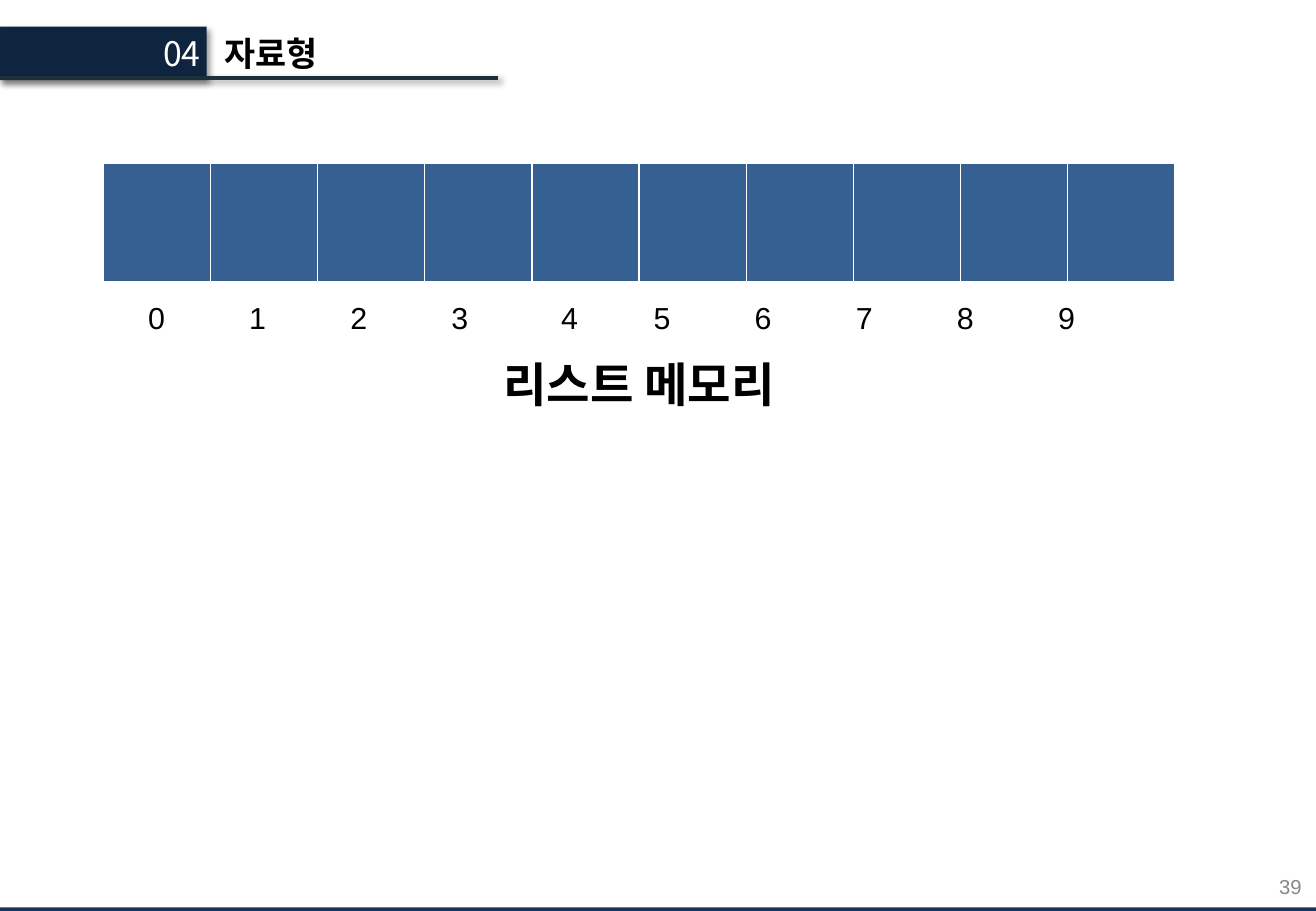
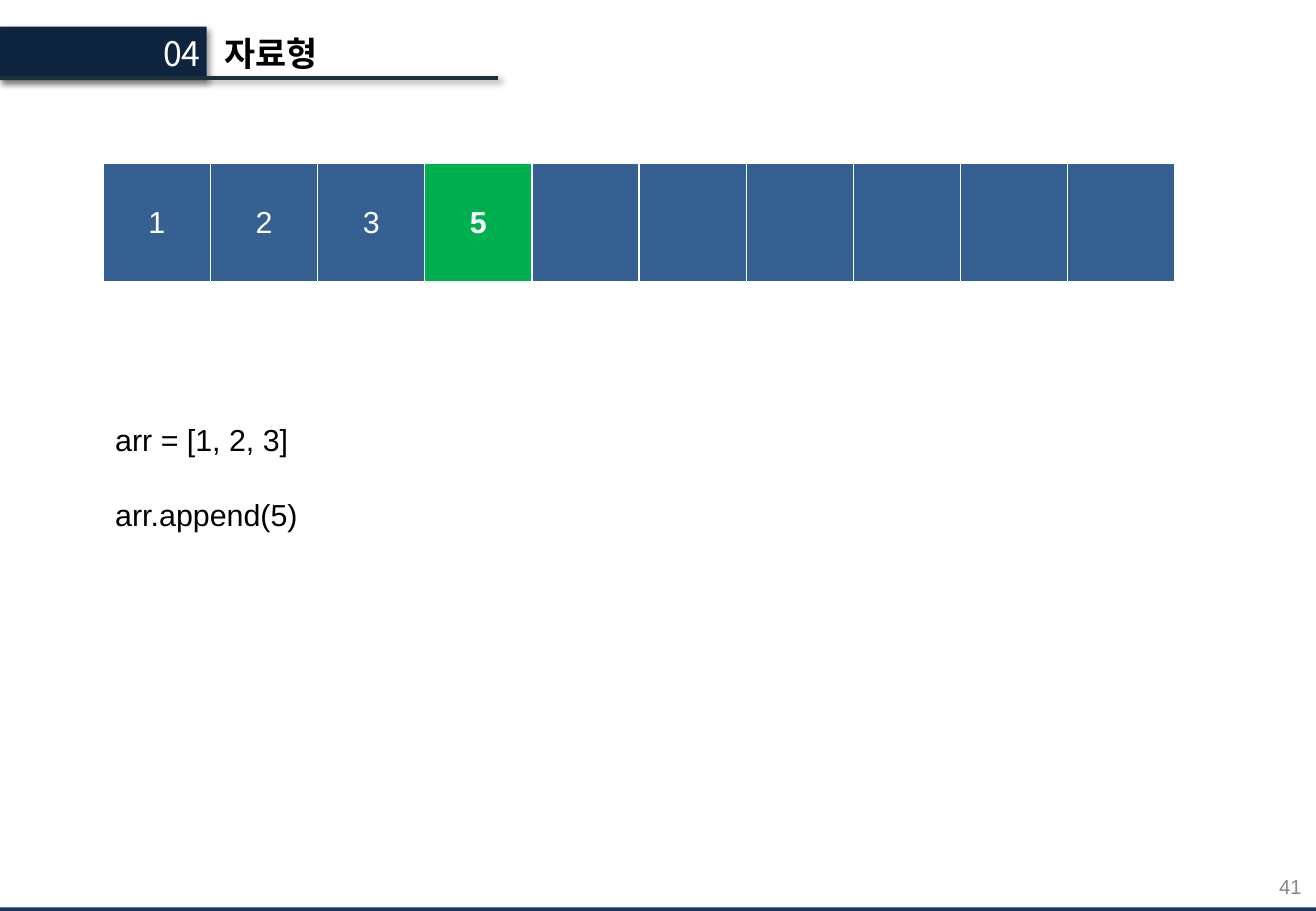
import pptx
import pptx.util
import pptx.dml.color
import pptx.enum.shapes
import pptx.enum.text
import pptx.oxml
import pptx.oxml.ns
import lxml.etree

Inches, Pt = pptx.util.Inches, pptx.util.Pt
ALIGN = pptx.enum.text.PP_ALIGN
MIDDLE = pptx.enum.text.MSO_ANCHOR.MIDDLE
SHAPE = pptx.enum.shapes.MSO_SHAPE
A = pptx.oxml.ns.nsdecls("a")
KOREAN = "Noto Sans CJK KR"
NAVY, FOOTER, RULE, CELL, NEW = "0F243E", "17365D", "1D2F39", "366092", "00B050"
WHITE, BLACK, GREY = "FFFFFF", "000000", "888888"
rgb = pptx.dml.color.RGBColor.from_string

SHADOW = (f'<a:effectLst {A}><a:outerShdw blurRad="50800" dist="38100" dir="2700000" '
          'algn="tl" rotWithShape="0"><a:srgbClr val="000000"><a:alpha val="40000"/>'
          '</a:srgbClr></a:outerShdw></a:effectLst>')

LEFT, WIDTH, COLS = 0.85, 8.82, 10
BODY = {"size": Pt(18), "name": "Arial", "bold": False}
TITLE = {"size": Pt(20), "name": KOREAN, "bold": True}
NUMBER = {**TITLE, "bold": False}
CAPTION = {**BODY, "size": Pt(28), "bold": True}
PAGE = {**BODY, "size": Pt(12)}


def write(p, text, fmt, color, align=ALIGN.LEFT):
    p.alignment = align
    r = p.add_run()
    r.text = text
    for key, value in fmt.items():
        setattr(r.font, key, value)
    r.font.color.rgb = rgb(color)
    ea = lxml.etree.SubElement(r.font._element, pptx.oxml.ns.qn("a:ea"))
    ea.set("typeface", KOREAN)


def add_text(shapes, box, lines, fmt, color, align=ALIGN.LEFT, gap=0):
    tf = shapes.add_textbox(*map(Inches, box)).text_frame
    tf.word_wrap = True
    for i, line in enumerate(lines):
        p = tf.add_paragraph() if i else tf.paragraphs[0]
        if i:
            p.space_before = Pt(gap)
        write(p, line, fmt, color, align)
    return tf


prs = pptx.Presentation()
prs.slide_width, prs.slide_height = Inches(10.83), Inches(7.5)

slides = []
for page, values in (("39", []), ("41", ["1", "2", "3", "5"])):
    s = prs.slides.add_slide(prs.slide_layouts[6])
    slides.append(s)

    # Footer band and page number
    band = s.shapes.add_shape(SHAPE.RECTANGLE, *map(Inches, (-0.1, 7.47, 11.03, 0.09)))
    tf = add_text(s.shapes, (8.28, 7.1, 2.53, 0.4), [page], PAGE, GREY, ALIGN.RIGHT)
    tf.vertical_anchor = MIDDLE

    # Section tab with its number
    group = s.shapes.add_group_shape()
    tab = group.shapes.add_shape(SHAPE.RECTANGLE, *map(Inches, (-0.01, 0.22, 1.71, 0.44)))
    for sp, color in ((band, FOOTER), (tab, NAVY)):
        sp.shadow.inherit = False
        sp.fill.solid()
        sp.fill.fore_color.rgb = rgb(color)
        sp.line.fill.background()
    add_text(group.shapes, (1.04, 0.22, 0.71, 0.44), ["04"], NUMBER, WHITE, ALIGN.RIGHT)

    # Title rule and title
    rule = s.shapes.add_connector(pptx.enum.shapes.MSO_CONNECTOR.STRAIGHT,
                                  *map(Inches, (-0.01, 0.64, 4.1, 0.64)))
    rule.line.color.rgb = rgb(RULE)
    rule.line.width = Pt(2.25)
    for sp in (tab, rule):
        spPr = sp._element.spPr
        for old in spPr.findall(pptx.oxml.ns.qn("a:effectLst")):
            spPr.remove(old)
        spPr.append(pptx.oxml.parse_xml(SHADOW))
    add_text(s.shapes, (1.75, 0.22, 5.79, 0.44), ["자료형"], TITLE, BLACK)

    # Memory cells
    table = s.shapes.add_table(1, COLS, *map(Inches, (LEFT, 1.34, WIDTH, 0.99))).table
    table.first_row = table.horz_banding = False
    for i in range(COLS):
        table.columns[i].width = Inches(WIDTH / COLS)
        cell = table.cell(0, i)
        cell.vertical_anchor = MIDDLE
        cell.margin_left = cell.margin_right = Inches(0.1)
        for side, width in (("L", 1), ("R", 1), ("T", 1), ("B", 3)):
            cell._tc.get_or_add_tcPr().append(pptx.oxml.parse_xml(
                f'<a:ln{side} {A} w="{Pt(width)}"><a:solidFill><a:srgbClr val="{WHITE}"/>'
                f'</a:solidFill></a:ln{side}>'))
        added = i == 3 and bool(values)
        cell.fill.solid()
        cell.fill.fore_color.rgb = rgb(NEW if added else CELL)
        if i < len(values):
            write(cell.text_frame.paragraphs[0], values[i], {**BODY, "bold": added},
                  WHITE, ALIGN.CENTER)

# Slide 1: caption and cell indexes on centred tab stops
shapes = slides[0].shapes
add_text(shapes, (LEFT, 2.88, WIDTH, 0.57), ["리스트 메모리"], CAPTION, BLACK, ALIGN.CENTER)
indexes = "".join(f"\t{i}" for i in range(COLS))
tf = add_text(shapes, (LEFT, 2.41, WIDTH, 0.4), [indexes], BODY, BLACK)
# The 4 stands slightly right of the even pitch
stops = "".join(f'<a:tab pos="{Inches(0.34 + 0.832 * i + 0.07 * (i == 4))}" algn="ctr"/>'
                for i in range(COLS))
pPr = tf.paragraphs[0]._p.get_or_add_pPr()
pPr.append(pptx.oxml.parse_xml(f"<a:tabLst {A}>{stops}</a:tabLst>"))

# Slide 2: code
add_text(slides[1].shapes, (LEFT, 3.42, WIDTH, 1.62), ["arr = [1, 2, 3]", "arr.append(5)"],
         BODY, BLACK, gap=22.6)

prs.save("out.pptx")
